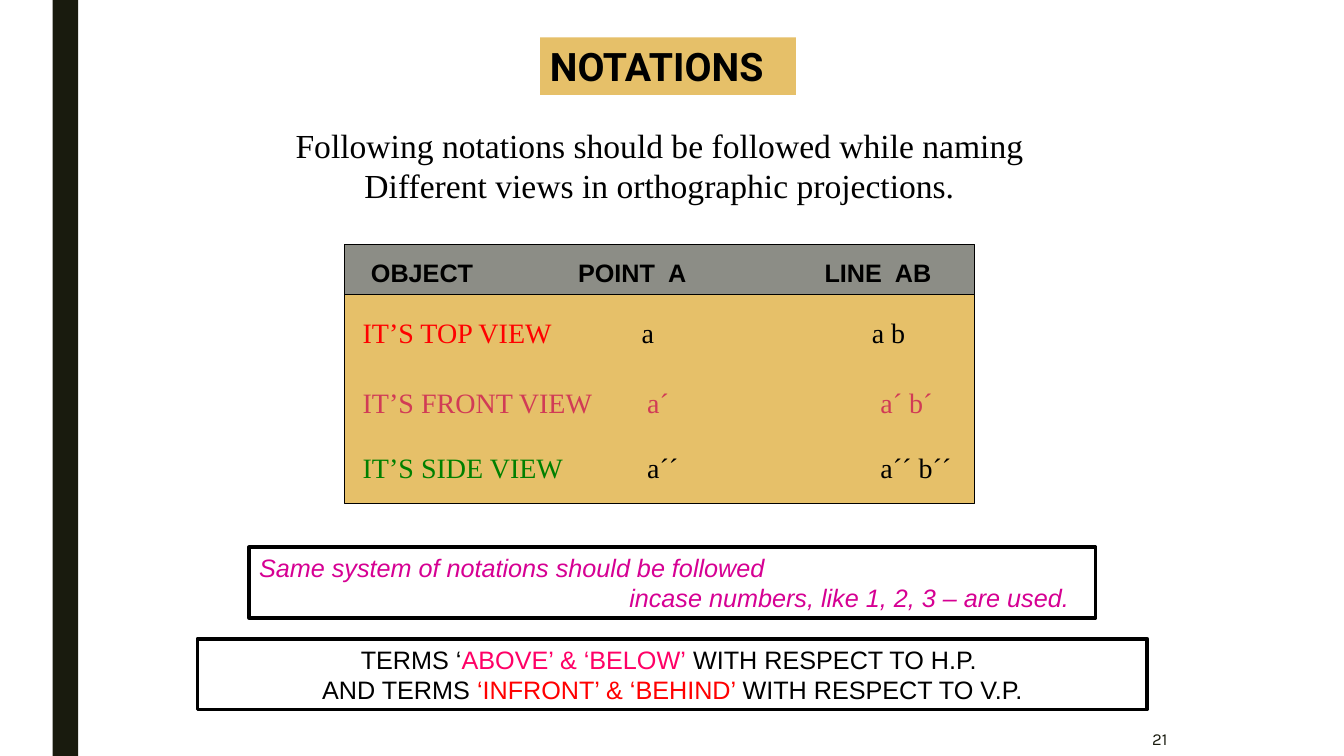
"""Build the slide on notations for orthographic projections."""
from lxml.etree import SubElement
from pptx import Presentation
from pptx.dml.color import RGBColor
from pptx.enum.shapes import MSO_SHAPE
from pptx.enum.text import MSO_ANCHOR, PP_ALIGN
from pptx.oxml.ns import qn
from pptx.util import Cm, Pt

SERIF, SANS = "Times New Roman", "Arial"
BLACK, WHITE, DARK = "000000", "FFFFFF", "191B0E"
SAND, GREY, RED = "E6C069", "8C8D86", "FF0000"


def rgb(value):
    """Turn a hex string into a colour."""
    return RGBColor.from_string(value)


def add_rect(slide, box, fill, line_width=0):
    """Add a filled rectangle, outlined in black when a width is given."""
    sp = slide.shapes.add_shape(MSO_SHAPE.RECTANGLE, *map(Cm, box))
    sp.shadow.inherit = False
    sp.fill.solid()
    sp.fill.fore_color.rgb = rgb(fill)
    if line_width:
        sp.line.color.rgb = rgb(BLACK)
        sp.line.width = Pt(line_width)
    else:
        sp.line.fill.background()
    return sp


def add_text_box(slide, box):
    """Add an empty text box."""
    return slide.shapes.add_textbox(*map(Cm, box))


def write(sp, lines, size, font=SANS, color=BLACK, bold=False, italic=False,
          align=PP_ALIGN.LEFT, anchor=MSO_ANCHOR.TOP, tabs=()):
    """Write lines, each a list of (text, colour) runs or a plain string."""
    tf = sp.text_frame
    tf.word_wrap = True
    tf.vertical_anchor = anchor
    for i, line in enumerate(lines):
        p = tf.paragraphs[0] if i == 0 else tf.add_paragraph()
        p.alignment = align
        if tabs:
            tab_list = SubElement(p._p.get_or_add_pPr(), qn("a:tabLst"))
            for pos in tabs:
                SubElement(tab_list, qn("a:tab"), pos=str(Cm(pos)), algn="l")
        for text, run_color in [(line, color)] if isinstance(line, str) else line:
            r = p.add_run()
            r.text = text
            r.font.name = font
            r.font.size = Pt(size)
            r.font.bold = bold
            r.font.italic = italic
            r.font.color.rgb = rgb(run_color)


def add_heading(slide, x, y, w):
    """Add the title tag and the two introductory lines centred below it."""
    title = add_rect(slide, (x + 6.5, y, 6.45, 1.45), SAND)
    write(title, ["NOTATIONS"], 28, "Roboto", bold=True)
    intro = add_text_box(slide, (x, y + 2.08, w, 2.31))
    write(intro, ["Following notations should be followed while naming",
                  "Different views in orthographic projections."],
          24, SERIF, align=PP_ALIGN.CENTER)


def add_notation_panel(slide, x, y, w, h):
    """Add the panel that lists the notation of each view in tabbed columns."""
    header_h = 1.27
    add_rect(slide, (x, y + header_h, w, h - header_h), SAND, 0.75)
    add_rect(slide, (x, y, w, header_h), GREY, 0.75)
    header = add_text_box(slide, (x + 0.41, y + 0.2, w - 0.41, 1.02))
    write(header, ["OBJECT\tPOINT  A\tLINE  AB"], 18, bold=True, tabs=(5.22, 11.43))
    views = [
        (1.68, (7.03, 12.83), [("IT’S TOP VIEW", RED), ("\ta\ta b", BLACK)]),
        (3.43, (7.17, 13.05), [("IT’S FRONT VIEW\ta´\ta´ b´", "D13B56")]),
        (5.08, (7.17, 13.05), [("IT’S SIDE VIEW", "008000"), ("\ta´´\ta´´ b´´", BLACK)]),
    ]
    for top, tabs, runs in views:
        row = add_text_box(slide, (x + 0.2, y + top, w - 0.2, 1.11))
        write(row, [runs], 20, SERIF, tabs=tabs)


def add_notes(slide, x, y, w):
    """Add the two framed remarks, one under the other."""
    numbers = add_rect(slide, (x + 1.3, y, w - 2.6, 1.78), WHITE, 2.75)
    write(numbers, ["Same system of notations should be followed",
                    "\tincase numbers, like 1, 2, 3 – are used."],
          18, color="D60093", italic=True, tabs=(9.33,))
    terms = add_rect(slide, (x, y + 2.31, w, 1.78), WHITE, 2.75)
    write(terms, [
        [("TERMS ‘", BLACK), ("ABOVE’ & ‘BELOW’", "FF0066"),
         (" WITH RESPECT TO H.P. ", BLACK)],
        [("AND TERMS ", BLACK), ("‘INFRONT’ & ‘BEHIND’ ", RED),
         ("WITH RESPECT TO V.P.", BLACK)],
    ], 18, align=PP_ALIGN.CENTER)


def add_frame(slide, height):
    """Add the dark side bar and the page number."""
    add_rect(slide, (1.33, 0, 0.64, height), DARK)
    number = add_text_box(slide, (23.95, height - 0.94, 5.72, 1.02))
    write(number, ["21"], 12, "Karla", DARK,
          align=PP_ALIGN.RIGHT, anchor=MSO_ANCHOR.MIDDLE)


def main():
    """Assemble and save the slide."""
    prs = Presentation()
    prs.slide_width, prs.slide_height = Cm(33.87), Cm(19.05)
    slide = prs.slides.add_slide(prs.slide_layouts[6])
    add_frame(slide, 19.05)
    add_heading(slide, 7.11, 0.94, 19.02)
    add_notation_panel(slide, 8.69, 6.15, 15.88, 6.55)
    add_notes(slide, 4.98, 13.79, 23.93)
    prs.save("out.pptx")


if __name__ == "__main__":
    main()
